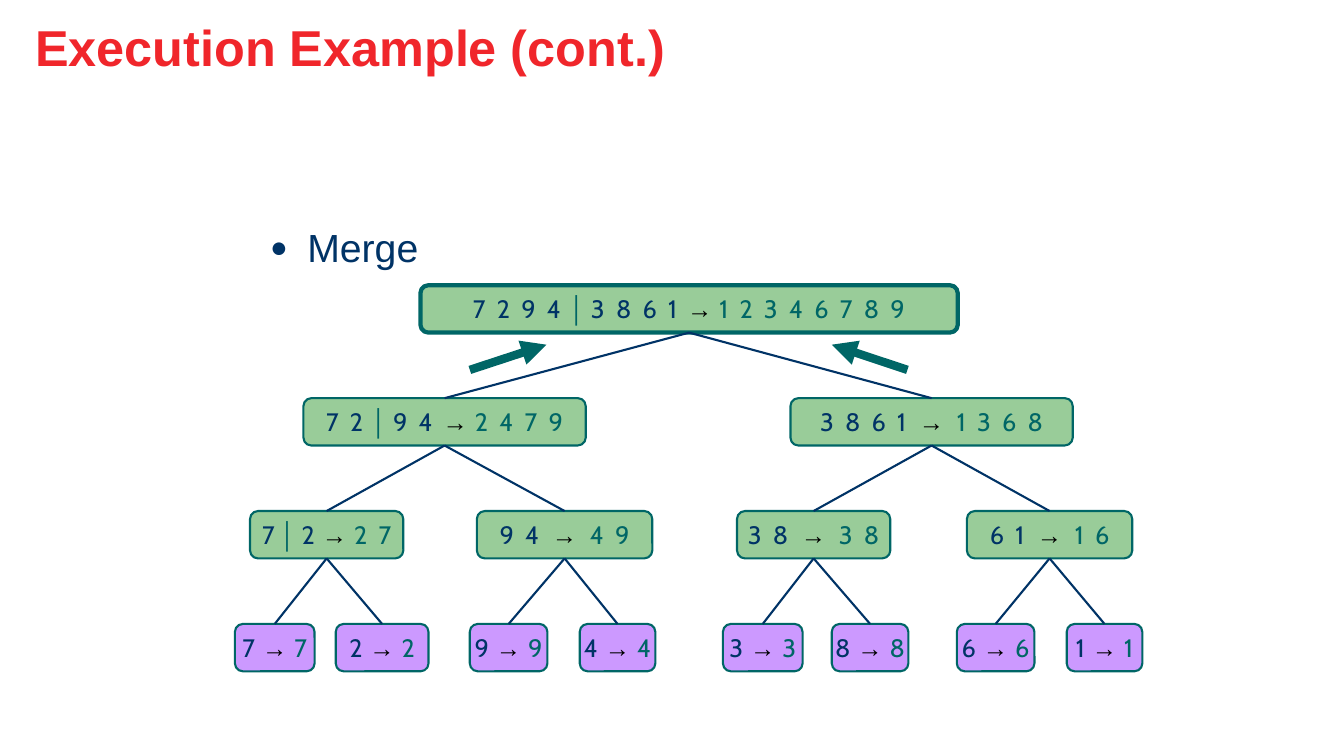
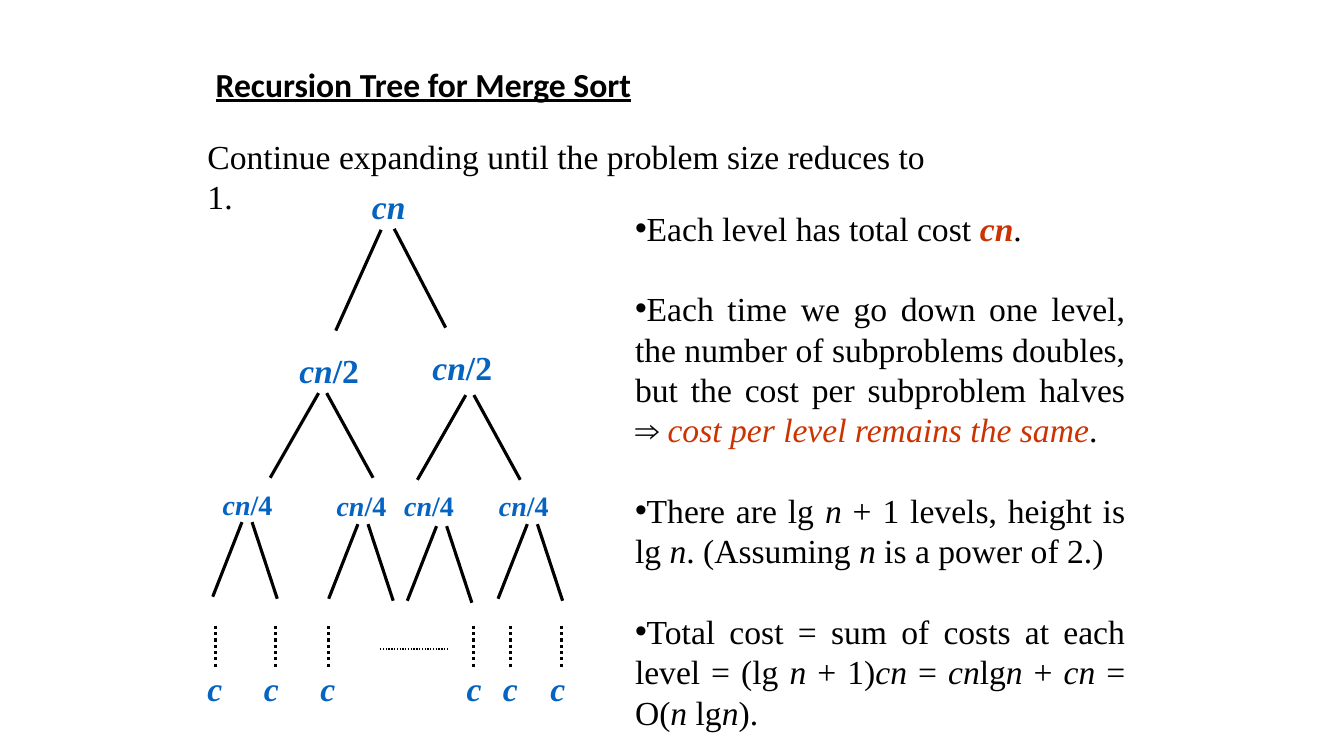
from lxml import etree
from pptx import Presentation
from pptx.dml.color import RGBColor
from pptx.enum.dml import MSO_LINE
from pptx.enum.shapes import MSO_CONNECTOR, MSO_SHAPE
from pptx.enum.text import MSO_ANCHOR, PP_ALIGN
from pptx.oxml.ns import qn
from pptx.util import Inches, Pt

STRAIGHT = MSO_CONNECTOR.STRAIGHT
ROUNDED = MSO_SHAPE.ROUNDED_RECTANGLE
DOTTED = MSO_LINE.ROUND_DOT
TOP, MIDDLE, BOTTOM = MSO_ANCHOR.TOP, MSO_ANCHOR.MIDDLE, MSO_ANCHOR.BOTTOM
LEFT, CENTER, JUSTIFY = PP_ALIGN.LEFT, PP_ALIGN.CENTER, PP_ALIGN.JUSTIFY
TOP_SITE, BOTTOM_SITE = 0, 2

RED = RGBColor(0xF0, 0x26, 0x2B)
NAVY = RGBColor(0x00, 0x33, 0x66)
TEAL = RGBColor(0x00, 0x66, 0x66)
GREEN = RGBColor(0x99, 0xCC, 0x99)
PURPLE = RGBColor(0xCC, 0x99, 0xFF)
BLUE = RGBColor(0x05, 0x63, 0xC1)
RUST = RGBColor(0xCC, 0x33, 0x00)
BLACK = RGBColor(0x00, 0x00, 0x00)

SANS, DIGITS, SERIF, HEADING = "Arial", "Cabin", "Times New Roman", "Calibri"

BODY = dict(font=SERIF, size=24, color=BLACK)
ITALIC = dict(BODY, italic=True)
REMARK = dict(ITALIC, color=RUST)
KEY = dict(REMARK, bold=True)
COST = dict(BODY, color=BLUE, bold=True)


class Deck:
    def __init__(self):
        self.deck = Presentation()
        self.deck.slide_width = Inches(13.33)
        self.deck.slide_height = Inches(7.5)
        self.page = None

    def new_page(self):
        self.page = self.deck.slides.add_slide(self.deck.slide_layouts[6])

    def span(self, para, text, font, size, color, bold=False, italic=False,
             underline=False, spacing=0):
        span = para.add_run()
        span.text = text
        span.font.name = font
        span.font.size = Pt(size)
        span.font.color.rgb = color
        span.font.bold = bold
        span.font.italic = italic
        span.font.underline = underline
        if spacing:
            span._r.get_or_add_rPr().set("spc", str(spacing * 100))

    def bullet(self, para, character, indent=0, color=None, percent=100):
        properties = para._p.get_or_add_pPr()
        properties.set("marL", str(Inches(indent)))
        properties.set("indent", str(-Inches(indent)))
        if color is not None:
            holder = etree.SubElement(properties, qn("a:buClr"))
            etree.SubElement(holder, qn("a:srgbClr"), val=str(color))
        etree.SubElement(properties, qn("a:buSzPct"), val=str(percent * 1000))
        etree.SubElement(properties, qn("a:buFont"), typeface=SANS)
        etree.SubElement(properties, qn("a:buChar"), char=character)

    def text(self, left, top, width, height, paragraphs, wrap=True, anchor=TOP,
             align=LEFT, bullet=None, gap=0, line_spacing=None):
        box = self.page.shapes.add_textbox(
            Inches(left), Inches(top), Inches(width), Inches(height))
        frame = box.text_frame
        frame.word_wrap = wrap
        frame.vertical_anchor = anchor
        for index, spans in enumerate(paragraphs):
            para = frame.add_paragraph() if index else frame.paragraphs[0]
            if bullet:
                self.bullet(para, **bullet)
            para.alignment = align
            if line_spacing:
                para.line_spacing = line_spacing
            if index and gap:
                para.space_before = Pt(gap)
            for text, style in spans:
                self.span(para, text, **style)

    def title(self, left, top, width, height, text, **style):
        self.text(left, top, width, height, [[(text, dict(bold=True, **style))]],
                  anchor=BOTTOM if style["font"] == SANS else TOP,
                  line_spacing=0.9 if style["font"] == SANS else None)

    def line(self, start, end, color=BLACK, weight=2.25, dash=None, arrow=False):
        line = self.page.shapes.add_connector(
            STRAIGHT, *[Inches(value) for value in (*start, *end)])
        line.line.color.rgb = color
        line.line.width = Pt(weight)
        if dash:
            line.line.dash_style = dash
        if arrow:
            etree.SubElement(line.line._get_or_add_ln(), qn("a:tailEnd"), type="triangle")
        etree.SubElement(line._element.spPr, qn("a:effectLst"))
        return line

    def branch(self, parent, child):
        line = self.line((0, 0), (0, 0), NAVY, 1.5)
        line.begin_connect(parent, BOTTOM_SITE)
        line.end_connect(child, TOP_SITE)

    def node(self, left, top, width, text, fill, weight=1.5):
        box = self.page.shapes.add_shape(
            ROUNDED, Inches(left), Inches(top), Inches(width), Inches(0.47))
        box.shadow.inherit = False
        box.fill.solid()
        box.fill.fore_color.rgb = fill
        box.line.color.rgb = TEAL
        box.line.width = Pt(weight)
        frame = box.text_frame
        frame.word_wrap = False
        frame.vertical_anchor = MIDDLE
        para = frame.paragraphs[0]
        para.alignment = CENTER
        unsorted, result = text.split(" → ")
        halves = unsorted.split(" │ ")

        def digits(value, color):
            self.span(para, value, DIGITS, 18, color, spacing=2 if " " in value else 0)

        digits(halves[0], NAVY)
        for half in halves[1:]:
            self.span(para, " │ ", SANS, 18, TEAL, bold=True, spacing=-1)
            digits(half, NAVY)
        wide = len(halves) == 1 and " " in unsorted
        self.span(para, " → ", SANS, 18, BLACK, bold=True, spacing=2 if wide else 0)
        digits(result, TEAL)
        return box

    def fork(self, x, y, left_reach, right_start, right_reach):
        self.line((x, y), (x + left_reach[0], y + left_reach[1]))
        self.line((x + right_start[0], y + right_start[1]),
                  (x + right_reach[0], y + right_reach[1]))

    def cost(self, left, top, width, letters, divisor="", size=24):
        spans = [(letters, dict(COST, size=size, italic=True))]
        if divisor:
            spans.append((divisor, dict(COST, size=size)))
        self.text(left, top, width, 0.5 if size == 24 else 0.43, [spans])


MERGE_LEVELS = [
    [(4.17, 5.33, "7 2 9 4 │ 3 8 6 1 → 1 2 3 4 6 7 8 9")],
    [(3.01, 2.8, "7 2 │ 9 4 → 2 4 7 9"), (7.84, 2.8, "3 8 6 1 → 1 3 6 8")],
    [(2.48, 1.52, "7 │ 2 → 2 7"), (4.73, 1.74, "9 4 → 4 9"),
     (7.31, 1.52, "3 8 → 3 8"), (9.59, 1.64, "6 1 → 1 6")],
    [(2.33, 0.79, "7 → 7"), (3.33, 0.92, "2 → 2"), (4.66, 0.77, "9 → 9"),
     (5.75, 0.75, "4 → 4"), (7.17, 0.79, "3 → 3"), (8.25, 0.76, "8 → 8"),
     (9.49, 0.77, "6 → 6"), (10.58, 0.75, "1 → 1")],
]

FORK_LEVELS = [
    ([(3.78, 2.28)], (-0.45, 1), (0.13, -0.01), (0.64, 0.97)),
    ([(3.16, 3.9), (4.62, 3.92)], (-0.48, 0.84), (0.08, 0), (0.54, 0.84)),
    ([(2.4, 5.18), (3.55, 5.2), (4.33, 5.22), (5.23, 5.2)],
     (-0.29, 0.74), (0.1, 0), (0.35, 0.76)),
]

COST_POINTS = [
    [("Each level has total cost ", BODY), ("cn", KEY), (".", BODY)],
    [("Each time we go down one level, the number of subproblems doubles, "
      "but the cost per subproblem halves ⇒ ", BODY),
     ("cost per level remains the same", REMARK), (".", BODY)],
    [("There are lg ", BODY), ("n", ITALIC), (" + 1 levels, height is lg ", BODY),
     ("n", ITALIC), (". (Assuming ", BODY), ("n", ITALIC),
     (" is a power of 2.)", BODY)],
    [("Total cost = sum of costs at each level = (lg ", BODY), ("n", ITALIC),
     (" + 1)", BODY), ("cn", ITALIC), (" = ", BODY), ("cn", ITALIC), ("lg", BODY),
     ("n", ITALIC), (" + ", BODY), ("cn", ITALIC), (" = O(", BODY), ("n ", ITALIC),
     ("lg", BODY), ("n", ITALIC), (").", BODY)],
]


def merge_page(deck):
    deck.new_page()
    deck.title(0.25, 0.18, 8.75, 0.64, "Execution Example (cont.)",
               font=SANS, size=36, color=RED)
    deck.text(2.58, 2.17, 8.5, 0.57,
              [[("Merge", dict(font=SANS, size=28, color=NAVY))]],
              bullet=dict(character="●", indent=0.37, color=NAVY, percent=75))
    parents = []
    for level, nodes in enumerate(MERGE_LEVELS):
        fill = PURPLE if level == 3 else GREEN
        weight = 1.5 if level else 3
        boxes = [deck.node(left, 2.83 + 1.12 * level, width, text, fill, weight)
                 for left, width, text in nodes]
        if parents:
            for index, box in enumerate(boxes):
                deck.branch(parents[index // 2], box)
        parents = boxes
    for outer, inner in ((4.66, 5.42), (9, 8.25)):
        deck.line((outer, 3.67), (inner, 3.42), TEAL, 6, arrow=True)


def recursion_page(deck):
    deck.new_page()
    deck.title(2.04, 0.58, 4.79, 0.48, "Recursion Tree for Merge Sort",
               font=HEADING, size=24, color=BLACK, underline=True)
    deck.text(1.96, 1.3, 7.5, 0.5,
              [[("Continue expanding until the problem size reduces to 1.", BODY)]])
    deck.cost(3.59, 1.8, 0.7, "cn")
    for left, top in ((2.87, 3.42), (4.19, 3.39)):
        deck.cost(left, top, 1, "cn", "/2")
    for left, top in ((2.11, 4.79), (3.24, 4.8), (3.91, 4.8), (4.85, 4.8)):
        deck.cost(left, top, 0.9, "cn", "/4", 20)
    for apexes, *reaches in FORK_LEVELS:
        for x, y in apexes:
            deck.fork(x, y, *reaches)
    for x in (2.14, 2.73, 3.26, 4.7, 5.06, 5.57):
        deck.line((x, 6.21), (x, 6.64), dash=DOTTED)
    deck.line((3.77, 6.44), (4.45, 6.44), weight=1, dash=DOTTED)
    for left in (1.96, 2.52, 3.08, 4.53, 4.89, 5.36):
        deck.cost(left, 6.58, 0.4, "c")
    deck.text(6.2, 2.01, 5.06, 5.35, COST_POINTS, align=JUSTIFY,
              bullet=dict(character="•"), gap=28.8)


def main():
    deck = Deck()
    merge_page(deck)
    recursion_page(deck)
    deck.deck.save("out.pptx")


if __name__ == "__main__":
    main()
